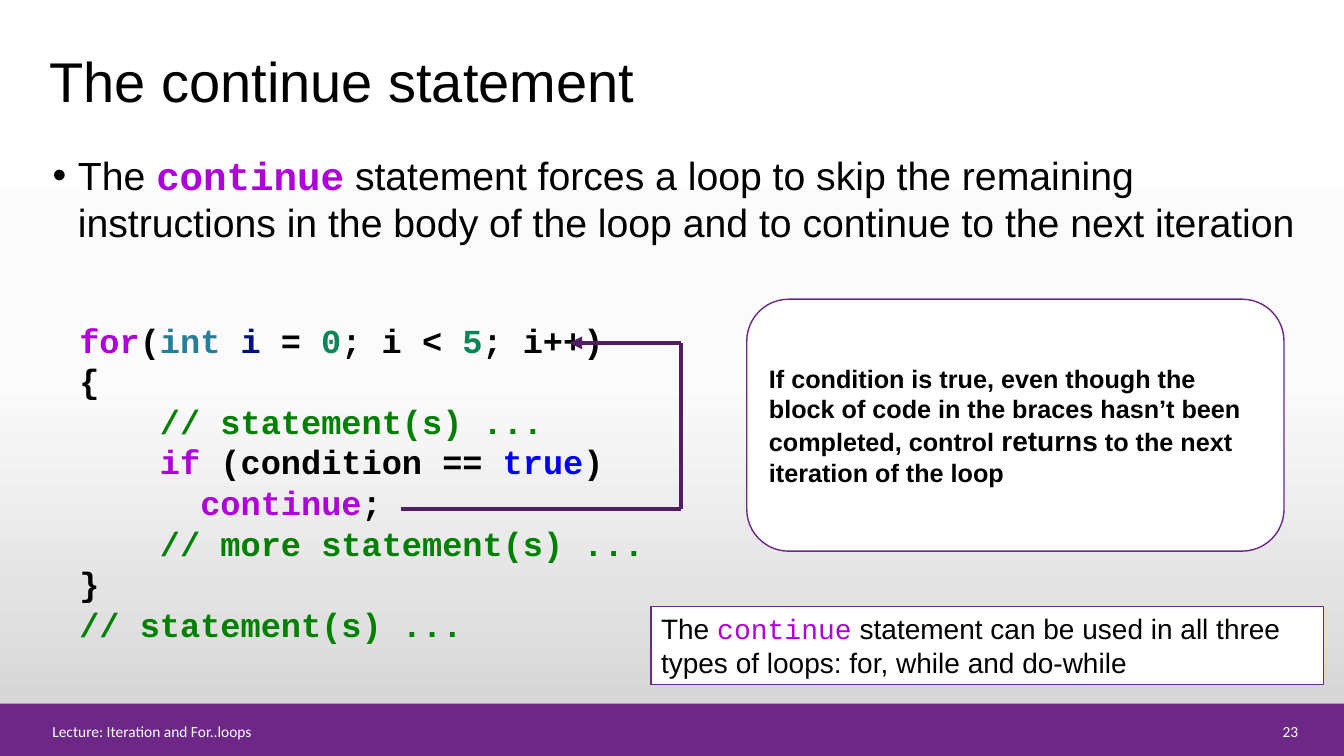
"""Builds the slide that explains the continue statement."""
from copy import deepcopy
from dataclasses import dataclass
from itertools import pairwise

from lxml import etree
from pptx import Presentation
from pptx.dml.color import RGBColor
from pptx.enum.shapes import MSO_CONNECTOR, MSO_SHAPE
from pptx.enum.text import MSO_ANCHOR, MSO_AUTO_SIZE, PP_ALIGN
from pptx.oxml.ns import qn
from pptx.util import Cm, Pt

RECTANGLE = MSO_SHAPE.RECTANGLE
ROUNDED = MSO_SHAPE.ROUNDED_RECTANGLE
STRAIGHT = MSO_CONNECTOR.STRAIGHT
TOP, MIDDLE = MSO_ANCHOR.TOP, MSO_ANCHOR.MIDDLE
LEFT, RIGHT = PP_ALIGN.LEFT, PP_ALIGN.RIGHT
NO_FIT = MSO_AUTO_SIZE.NONE


@dataclass(frozen=True)
class Theme:
    """Holds the colours, fonts and type sizes."""
    purple: str = "6C2787"
    arrow: str = "511D65"
    white: str = "FFFFFF"
    black: str = "000000"
    keyword: str = "AF00DB"
    type_name: str = "267F99"
    variable: str = "001080"
    number: str = "098658"
    comment: str = "008000"
    literal: str = "0000FF"
    backdrop: tuple = ((0, "FFFFFF"), (0.5, "FBFBFB"), (1, "D1D1D1"))
    sans: str = "Arial"
    mono: str = "Courier New"
    small: str = "Calibri"
    title_size: int = 40
    body_size: int = 28
    code_size: int = 24
    code_pitch: int = 29
    note_size: int = 20
    callout_size: int = 18
    footer_size: int = 11


THEME = Theme()
PLAIN = {"name": THEME.sans, "color": THEME.black, "bold": False}
KEYWORD = {"name": THEME.mono, "color": THEME.keyword}
FOOTER = {"name": THEME.small, "size": THEME.footer_size, "color": THEME.white}
CODE = {"name": THEME.mono, "size": THEME.code_size, "bold": True}

CODE_LINES = [
    [("for", "keyword"), ("(", "black"), ("int ", "type_name"), ("i ", "variable"),
     ("= ", "black"), ("0", "number"), ("; i < ", "black"), ("5", "number"),
     ("; i++)", "black")],
    [("{", "black")],
    [("    // statement(s) ...", "comment")],
    [("    if", "keyword"), (" (condition == ", "black"), ("true", "literal"),
     (")", "black")],
    [("      continue", "keyword"), (";", "black")],
    [("    // more statement(s) ...", "comment")],
    [("}", "black")],
    [("// statement(s) ...", "comment")],
]


def color(value):
    """Turns a hex string into a colour."""
    return RGBColor.from_string(value)


def place(box, left, top, width, height):
    """Moves and sizes a box, in centimetres."""
    values = {"left": left, "top": top, "width": width, "height": height}
    for name, value in values.items():
        setattr(box, name, Cm(value))


def add_spans(para, spans):
    """Adds formatted spans of text to a paragraph."""
    for text, style in spans:
        span = para.add_run()
        span.text = text
        for name, value in style.items():
            if name == "color":
                span.font.color.rgb = color(value)
            else:
                setattr(span.font, name, Pt(value) if name == "size" else value)


def write(box, lines, anchor=TOP, align=LEFT, pitch=None):
    """Writes one paragraph per line of spans."""
    frame = box.text_frame
    settings = {"word_wrap": True, "auto_size": NO_FIT, "vertical_anchor": anchor}
    for name, value in settings.items():
        setattr(frame, name, value)
    for index, spans in enumerate(lines):
        para = frame.add_paragraph() if index else frame.paragraphs[0]
        layout = {"alignment": align, "space_before": Pt(0),
                  "line_spacing": Pt(pitch) if pitch else 1.0}
        for name, value in layout.items():
            setattr(para, name, value)
        add_spans(para, spans)


def add_text(page, position, lines, **options):
    """Adds a text box."""
    box = page.shapes.add_textbox(*map(Cm, position))
    write(box, lines, **options)


def add_panel(page, kind, position, fill, outline=None):
    """Adds a filled shape with an optional outline."""
    box = page.shapes.add_shape(kind, *map(Cm, position))
    box.shadow.inherit = False
    box.fill.solid()
    box.fill.fore_color.rgb = color(fill)
    if outline:
        box.line.color.rgb = color(outline)
        box.line.width = Pt(1)
    else:
        box.line.fill.background()
    return box


def add_arrow(page, corners):
    """Joins the corners by lines, with the arrowhead at the first corner."""
    for index, (start, end) in enumerate(pairwise(corners)):
        line = page.shapes.add_connector(STRAIGHT, *map(Cm, start + end))
        line.line.color.rgb = color(THEME.arrow)
        line.line.width = Pt(3)
        properties = line._element.spPr
        etree.SubElement(properties, qn("a:effectLst"))
        if index == 0:
            outline = properties.find(qn("a:ln"))
            etree.SubElement(outline, qn("a:headEnd"), type="triangle")


def set_backdrop(page):
    """Fills the page with a gradient from top to bottom."""
    fill = page.background.fill
    fill.gradient()
    fill.gradient_angle = 270
    stops = page._element.find(".//" + qn("a:gsLst"))
    stops.insert(1, deepcopy(stops[0]))
    for stop, (position, value) in zip(fill.gradient_stops, THEME.backdrop):
        stop.position = position
        stop.color.rgb = color(value)


def fill_placeholders(page):
    """Writes the title and the bulleted text."""
    title, body = page.placeholders
    place(title, 0.99, 0.91, 26.31, 2.21)
    write(title, [[("The continue statement", {**PLAIN, "size": THEME.title_size})]],
          anchor=MIDDLE)
    place(body, 1.07, 3.68, 31.88, 3.84)
    plain = {**PLAIN, "size": THEME.body_size}
    write(body, [[
        ("The ", plain), ("continue", {**plain, **KEYWORD, "bold": True}),
        (" statement forces a loop to skip the remaining instructions in the body"
         " of the loop and to continue to the next iteration", plain)]])
    properties = body.text_frame.paragraphs[0]._p.get_or_add_pPr()
    for name, value in {"marL": Cm(0.64), "indent": -Cm(0.64)}.items():
        properties.set(name, str(int(value)))
    etree.SubElement(properties, qn("a:buChar"), char="•")


def add_notes_on_loop(page):
    """Adds the two outlined boxes beside the code."""
    usage = add_panel(page, RECTANGLE, (16.41, 15.29, 16.94, 1.96),
                      THEME.white, THEME.purple)
    plain = {**PLAIN, "size": THEME.note_size}
    write(usage, [[
        ("The ", plain), ("continue", {**plain, **KEYWORD}),
        (" statement can be used in all three types of loops: for, while and do-while",
         plain)]])
    callout = add_panel(page, ROUNDED, (18.82, 7.54, 13.54, 6.35),
                        THEME.white, THEME.purple)
    strong = {**PLAIN, "size": THEME.callout_size, "bold": True}
    write(callout, [[
        ("If condition is true, even though the block of code in the braces"
         " hasn’t been completed, control ", strong),
        ("returns", {**strong, "size": THEME.note_size}),
        (" to the next iteration of the loop", strong)]], anchor=MIDDLE)


def main():
    """Builds and saves the deck."""
    deck = Presentation()
    deck.slide_width, deck.slide_height = Cm(33.87), Cm(19.05)
    page = deck.slides.add_slide(deck.slide_layouts[1])
    set_backdrop(page)
    fill_placeholders(page)
    add_panel(page, RECTANGLE, (0, 17.73, 33.87, 1.32), THEME.purple)
    add_text(page, (31.06, 18.08, 1.91, 0.58), [[("23", FOOTER)]], align=RIGHT)
    code = [[(text, {**CODE, "color": getattr(THEME, role)}) for text, role in line]
            for line in CODE_LINES]
    add_text(page, (1.75, 7.92, 17.58, 8.46), code, pitch=THEME.code_pitch)
    add_arrow(page, [(14.35, 8.64), (17.17, 8.64), (17.17, 12.83), (10.11, 12.83)])
    add_notes_on_loop(page)
    add_text(page, (1.07, 18.08, 29.59, 0.58),
             [[("Lecture: Iteration and For..loops", FOOTER)]])
    deck.save("out.pptx")


if __name__ == "__main__":
    main()
